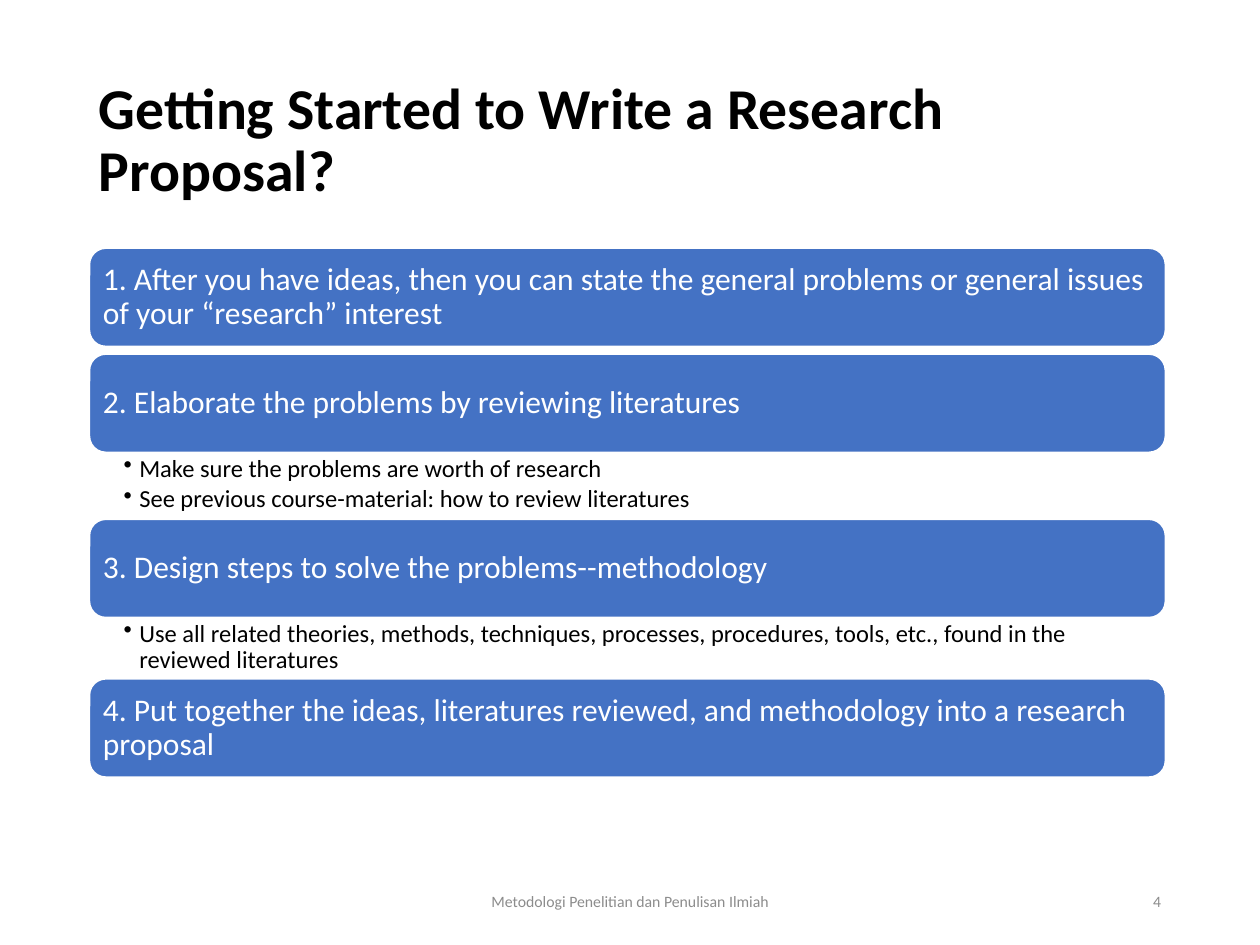
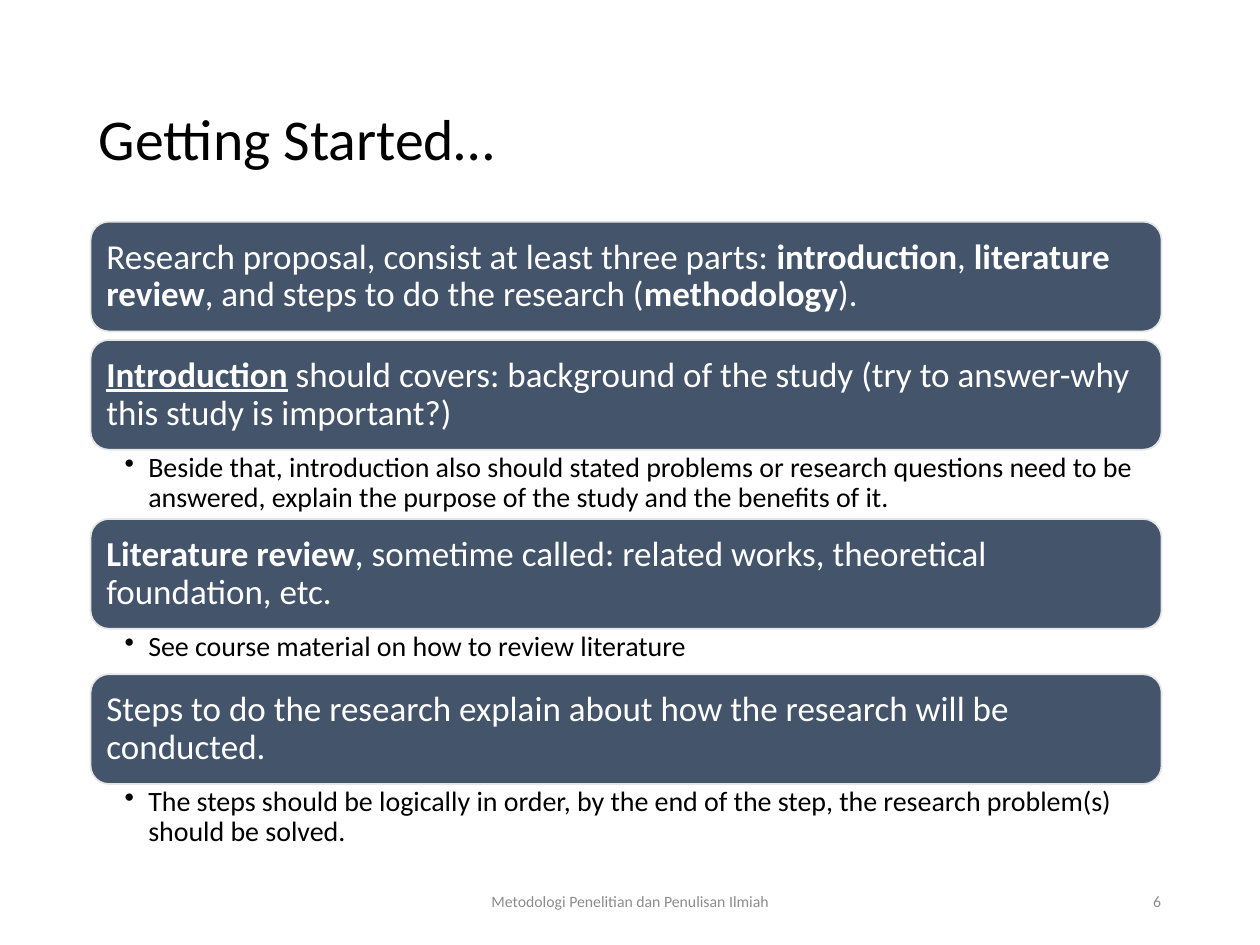
from lxml.etree import SubElement
from pptx import Presentation
from pptx.dml.color import RGBColor
from pptx.enum.shapes import MSO_SHAPE
from pptx.enum.text import MSO_ANCHOR, PP_ALIGN
from pptx.oxml.ns import qn
from pptx.util import Pt

# Content: each step is (heading runs, bullets, height of the bullet area).
# A run is (text, style), where the style may hold "b" (bold) and "u" (underline).
FOOTER = "Metodologi Penelitian dan Penulisan Ilmiah"
SLIDES = [
    {
        "title": ("Getting Started to Write a Research Proposal?", "b"),
        "number": "4",
        "look": {"left": 51.1, "top": 141.8, "width": 614.9, "height": 56.2, "gap": 4.3,
                 "fill": "4472C4", "line": "FFFFFF", "inset": 5, "size": 18,
                 "bullet_size": 14, "bullet_indent": 9, "bullet_right": 10},
        "steps": [
            ([("1. After you have ideas, then you can state the general problems or "
               "general issues of your “research” interest", "")], [], 0),
            ([("2. Elaborate the problems by reviewing literatures", "")],
             ["Make sure the problems are worth of research",
              "See previous course-material: how to review literatures"], 38.2),
            ([("3. Design steps to solve the problems--methodology", "")],
             ["Use all related theories, methods, techniques, processes, procedures, "
              "tools, etc., found in the reviewed literatures"], 35),
            ([("4. Put together the ideas, literatures reviewed, and methodology into "
               "a research proposal", "")], [], 0),
        ],
    },
    {
        "title": ("Getting Started…", ""),
        "number": "6",
        "look": {"left": 51.8, "top": 126.7, "width": 612, "height": 62.7, "gap": 4.9,
                 "fill": "44546A", "line": "E7E6E6", "inset": 6, "size": 20,
                 "bullet_size": 16, "bullet_indent": 13.5, "bullet_right": 11.5},
        "steps": [
            ([("Research proposal, consist at least three parts: ", ""),
              ("introduction", "b"), (", ", ""), ("literature review", "b"),
              (", and steps to do the research (", ""), ("methodology", "b"),
              (").", "")], [], 0),
            ([("Introduction", "bu"),
              (" should covers: background of the study (try to answer-why this study "
               "is important?)", "")],
             ["Beside that, introduction also should stated problems or research "
              "questions need to be answered, explain the purpose of the study and the "
              "benefits of it."], 39.6),
            ([("Literature review", "b"),
              (", sometime called: related works, theoretical foundation, etc.", "")],
             ["See course material on how to review literature"], 26),
            ([("Steps to do the research explain about how the research will be "
               "conducted.", "")],
             ["The steps should be logically in order, by the end of the step, the "
              "research problem(s) should be solved."], 39.6),
        ],
    },
]

# Shared style
FONT = "Calibri"
BLACK, WHITE, GREY = "000000", "FFFFFF", "8C8C8C"
FOOTER_TOP, FOOTER_HEIGHT = 500.4, 28.8


def color(value):
    return RGBColor.from_string(value)


def make_bullet(paragraph, indent):
    properties = paragraph._p.get_or_add_pPr()
    properties.set("marL", str(Pt(indent)))
    properties.set("indent", str(-Pt(indent)))
    SubElement(properties, qn("a:buChar")).set("char", "•")


def write(shape, paragraphs, size, font_color, align=PP_ALIGN.LEFT, spacing=None, after=0,
          anchor=MSO_ANCHOR.MIDDLE, insets=(7.2, 3.6, 7.2, 3.6), bullet_indent=None):
    """Fill a shape with paragraphs, each a list of (text, style) runs."""
    frame = shape.text_frame
    frame.word_wrap = True
    frame.vertical_anchor = anchor
    (frame.margin_left, frame.margin_top,
     frame.margin_right, frame.margin_bottom) = map(Pt, insets)
    for index, runs in enumerate(paragraphs):
        paragraph = frame.add_paragraph() if index else frame.paragraphs[0]
        paragraph.alignment = align
        paragraph.space_after = Pt(after)
        if spacing:
            paragraph.line_spacing = spacing
        if bullet_indent:
            paragraph.level = 1
            make_bullet(paragraph, bullet_indent)
        for text, style in runs:
            run = paragraph.add_run()
            run.text = text
            font = run.font
            font.name, font.size = FONT, Pt(size)
            font.color.rgb = color(font_color)
            font.bold = "b" in style
            font.underline = "u" in style


def add_text(slide, box, paragraphs, **text_format):
    write(slide.shapes.add_textbox(*map(Pt, box)), paragraphs, **text_format)


def add_frame(slide, title, number):
    """Title, footer and slide number."""
    add_text(slide, (49.5, 28.8, 621, 104.4), [[title]],
             size=33, font_color=BLACK, spacing=0.9)
    for text, left, width, align in ((FOOTER, 238.5, 243, PP_ALIGN.CENTER),
                                     (number, 508.5, 162, PP_ALIGN.RIGHT)):
        add_text(slide, (left, FOOTER_TOP, width, FOOTER_HEIGHT), [[(text, "")]],
                 size=9, font_color=GREY, align=align)


def add_steps(slide, steps, look):
    """Stack the bars downward, each followed by its bullets or by a gap."""
    left, top, width, height = (look[key] for key in ("left", "top", "width", "height"))
    for heading, bullets, bullets_height in steps:
        bar = slide.shapes.add_shape(MSO_SHAPE.ROUNDED_RECTANGLE,
                                     *map(Pt, (left, top, width, height)))
        bar.shadow.inherit = False
        bar.fill.solid()
        bar.fill.fore_color.rgb = color(look["fill"])
        bar.line.color.rgb = color(look["line"])
        bar.line.width = Pt(1)
        write(bar, [heading], size=look["size"], font_color=WHITE, spacing=0.9,
              insets=(look["inset"],) * 4)
        top += height
        if bullets:
            add_text(slide, (left, top, width, bullets_height),
                     [[(bullet, "")] for bullet in bullets],
                     size=look["bullet_size"], font_color=BLACK, spacing=0.9, after=2.4,
                     anchor=MSO_ANCHOR.TOP, insets=(19.5, 2, look["bullet_right"], 2),
                     bullet_indent=look["bullet_indent"])
        top += bullets_height or look["gap"]


def main():
    presentation = Presentation()
    presentation.slide_width, presentation.slide_height = Pt(720), Pt(540)
    for content in SLIDES:
        slide = presentation.slides.add_slide(presentation.slide_layouts[6])
        add_frame(slide, content["title"], content["number"])
        add_steps(slide, content["steps"], content["look"])
    presentation.save("out.pptx")


if __name__ == "__main__":
    main()
